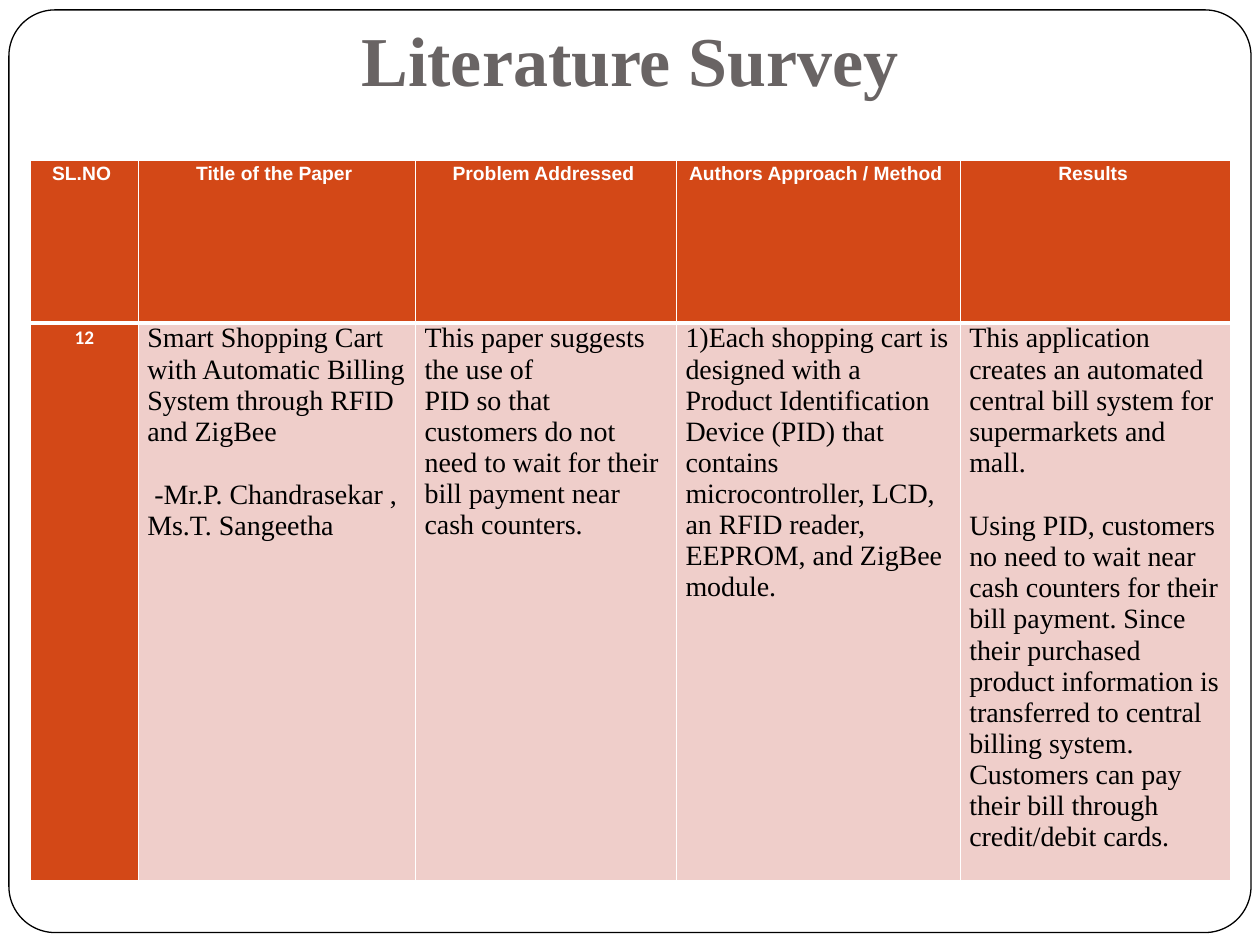
from dataclasses import dataclass

from lxml import etree
from pptx import Presentation
from pptx.dml.color import RGBColor
from pptx.enum.shapes import MSO_SHAPE
from pptx.enum.text import MSO_ANCHOR, PP_ALIGN
from pptx.oxml.ns import qn
from pptx.util import Cm, Pt

ROUNDED = MSO_SHAPE.ROUNDED_RECTANGLE
TOP = MSO_ANCHOR.TOP
CENTER, LEFT = PP_ALIGN.CENTER, PP_ALIGN.LEFT

COLORS = {
    "white": "FFFFFF",
    "black": "000000",
    "title": "696464",
    "orange": "D34817",
    "pink": "EFCECA",
}


@dataclass(frozen=True)
class CellStyle:
    fill: str
    color: str
    font: dict
    align: PP_ALIGN
    line_spacing: float


@dataclass(frozen=True)
class Column:
    width: float
    heading: str
    paragraphs: tuple[str, ...]
    style: CellStyle
    gap: float = 0


HEADING = CellStyle("orange", "white", {"name": "Arial", "size": Pt(11), "bold": True}, CENTER, 1.15)
NUMBER = CellStyle("orange", "white", {"name": "Calibri", "size": Pt(11), "bold": True}, CENTER, 1.15)
BODY = CellStyle("pink", "black", {"name": "Times New Roman", "size": Pt(16), "bold": False}, LEFT, 1)
TITLE_FONT = {"name": "Times New Roman", "size": Pt(40), "bold": True}

BLANK_LINE = 18.4
ROW_HEIGHTS = (3.28, 11.25)
COLUMNS = (
    Column(2.18, "SL.NO ", ("12",), NUMBER),
    Column(5.59, "Title of the Paper ", (
        "Smart Shopping Cart with Automatic Billing System through RFID and ZigBee",
        " -Mr.P. Chandrasekar , Ms.T. Sangeetha",
    ), BODY, BLANK_LINE),
    Column(5.26, "Problem Addressed ", (
        "This paper suggests the use of",
        "PID so that customers do not need to wait for their bill payment near cash counters.",
    ), BODY),
    Column(5.72, "Authors Approach / Method ", (
        "1)Each shopping cart is designed with a Product Identification Device (PID) "
        "that contains microcontroller, LCD, an RFID reader, EEPROM, and ZigBee module.",
    ), BODY),
    Column(5.46, "Results ", (
        "This application creates an automated central bill system for supermarkets and mall.",
        "Using PID, customers no need to wait near cash counters for their bill payment. "
        "Since their purchased product information is transferred to central billing system. "
        "Customers can pay their bill through credit/debit cards.",
    ), BODY, BLANK_LINE),
)


def rgb(name: str) -> RGBColor:
    return RGBColor.from_string(COLORS[name])


def format_font(font, values: dict, color: str) -> None:
    for attribute, value in values.items():
        setattr(font, attribute, value)
    font.color.rgb = rgb(color)


def set_borders(cell, widths: dict[str, float]) -> None:
    properties = cell._tc.get_or_add_tcPr()
    for side, width in widths.items():
        line = etree.SubElement(properties, qn(f"a:ln{side}"), w=str(Pt(width)))
        fill = etree.SubElement(line, qn("a:solidFill"))
        etree.SubElement(fill, qn("a:srgbClr"), val=COLORS["white"])


def fill_cell(cell, paragraphs: tuple[str, ...], style: CellStyle, borders: dict, gap: float = 0) -> None:
    set_borders(cell, borders)
    cell.fill.solid()
    cell.fill.fore_color.rgb = rgb(style.fill)
    cell.margin_left = cell.margin_right = Cm(0.18)
    cell.margin_top = cell.margin_bottom = 0
    frame = cell.text_frame
    for index, text in enumerate(paragraphs):
        paragraph = frame.add_paragraph() if index else frame.paragraphs[0]
        paragraph.alignment = style.align
        paragraph.line_spacing = style.line_spacing
        paragraph.space_before = Pt(gap if index else 0)
        run = paragraph.add_run()
        run.text = text
        format_font(run.font, style.font, style.color)


def add_title(slide, text: str):
    title = slide.shapes.title
    title.left, title.top, title.width, title.height = Cm(1), Cm(0.2), Cm(23.4), Cm(3)
    frame = title.text_frame
    frame.vertical_anchor = TOP
    frame.text = text
    paragraph = frame.paragraphs[0]
    paragraph.alignment = CENTER
    format_font(paragraph.runs[0].font, TITLE_FONT, "title")
    return title


def add_frame(slide, title) -> None:
    """Draw the rounded page border behind the title."""
    shape = slide.shapes.add_shape(ROUNDED, Cm(0.18), Cm(0.2), Cm(25.04), Cm(18.6))
    shape.adjustments[0] = 0.05
    shape.shadow.inherit = False
    shape.fill.solid()
    shape.fill.fore_color.rgb = rgb("white")
    shape.line.color.rgb = rgb("black")
    shape.line.width = Pt(0.75)
    title.element.addprevious(shape.element)


def add_survey_table(slide) -> None:
    width = sum(column.width for column in COLUMNS)
    table = slide.shapes.add_table(
        len(ROW_HEIGHTS), len(COLUMNS), Cm(0.61), Cm(3.23), Cm(width), Cm(sum(ROW_HEIGHTS))
    ).table
    for row, height in zip(table.rows, ROW_HEIGHTS):
        row.height = Cm(height)
    for index, column in enumerate(COLUMNS):
        table.columns[index].width = Cm(column.width)
        fill_cell(table.cell(0, index), (column.heading,), HEADING, {"L": 1, "R": 1, "T": 1, "B": 3})
        fill_cell(table.cell(1, index), column.paragraphs, column.style,
                  {"L": 1, "R": 1, "T": 3, "B": 1}, column.gap)


def main() -> None:
    presentation = Presentation()
    presentation.slide_width, presentation.slide_height = Cm(25.4), Cm(19.05)
    slide = presentation.slides.add_slide(presentation.slide_layouts[5])
    title = add_title(slide, "Literature Survey")
    add_frame(slide, title)
    add_survey_table(slide)
    presentation.save("out.pptx")


if __name__ == "__main__":
    main()
